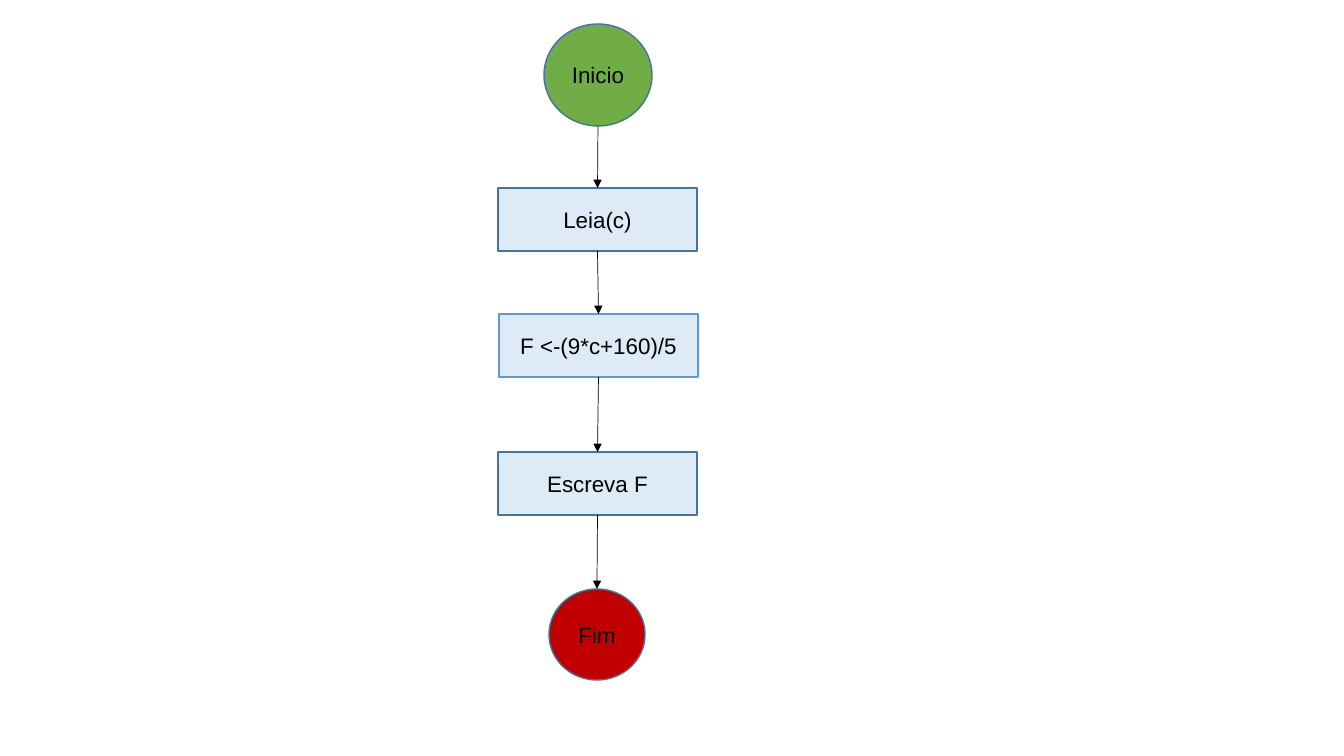
"""Flowchart that converts Celsius to Fahrenheit, from Inicio to Fim."""
from itertools import pairwise

from lxml.etree import SubElement
from pptx import Presentation
from pptx.dml.color import RGBColor
from pptx.enum.shapes import MSO_CONNECTOR, MSO_SHAPE as SHAPE
from pptx.enum.text import MSO_ANCHOR, PP_ALIGN
from pptx.oxml.ns import qn
from pptx.util import Emu, Pt

PX = 914400 / 100.8
COLORS = {
    "start": "70AD47", "step": "DEEBF7", "end": "C00000",
    "outline": "43739E", "formula": "5B9BD5", "ink": "000000",
}
STEP_SIZE = (199, 63)


def px(value):
    return Emu(round(value * PX))


def rgb(name):
    return RGBColor.from_string(COLORS[name])


prs = Presentation()
prs.slide_width, prs.slide_height = px(1344), px(756)
slide = prs.slides.add_slide(prs.slide_layouts[6])

stages = [
    ("Inicio", SHAPE.FLOWCHART_CONNECTOR, 544, 24, (108, 102), "start", "outline"),
    ("Leia(c)", SHAPE.FLOWCHART_PROCESS, 498, 188, STEP_SIZE, "step", "outline"),
    ("F <-(9*c+160)/5", SHAPE.FLOWCHART_PROCESS, 499, 314, STEP_SIZE, "step", "formula"),
    ("Escreva F", SHAPE.FLOWCHART_PROCESS, 498, 452, STEP_SIZE, "step", "outline"),
    ("Fim", SHAPE.FLOWCHART_CONNECTOR, 549, 589, (96, 91), "end", "outline"),
]

nodes = []
for label, kind, left, top, (width, height), fill, outline in stages:
    node = slide.shapes.add_shape(kind, px(left), px(top), px(width), px(height))
    node.shadow.inherit = False
    node.fill.solid()
    node.fill.fore_color.rgb = rgb(fill)
    node.line.color.rgb = rgb(outline)
    node.line.width = Pt(1)
    frame = node.text_frame
    frame.text = label
    frame.word_wrap = True
    frame.vertical_anchor = MSO_ANCHOR.MIDDLE
    paragraph = frame.paragraphs[0]
    paragraph.alignment = PP_ALIGN.CENTER
    font = paragraph.runs[0].font
    font.name, font.size = "Arial", Pt(16)
    font.color.rgb = rgb("ink")
    nodes.append(node)

for above, below in pairwise(nodes):
    arrow = slide.shapes.add_connector(
        MSO_CONNECTOR.STRAIGHT,
        above.left + above.width // 2, above.top + above.height,
        below.left + below.width // 2, below.top,
    )
    arrow.line.color.rgb = rgb("ink")
    arrow.line.width = Pt(0.5)
    properties = arrow.element.spPr
    SubElement(properties.find(qn("a:ln")), qn("a:tailEnd"), type="triangle")
    SubElement(properties, qn("a:effectLst"))

prs.save("out.pptx")
